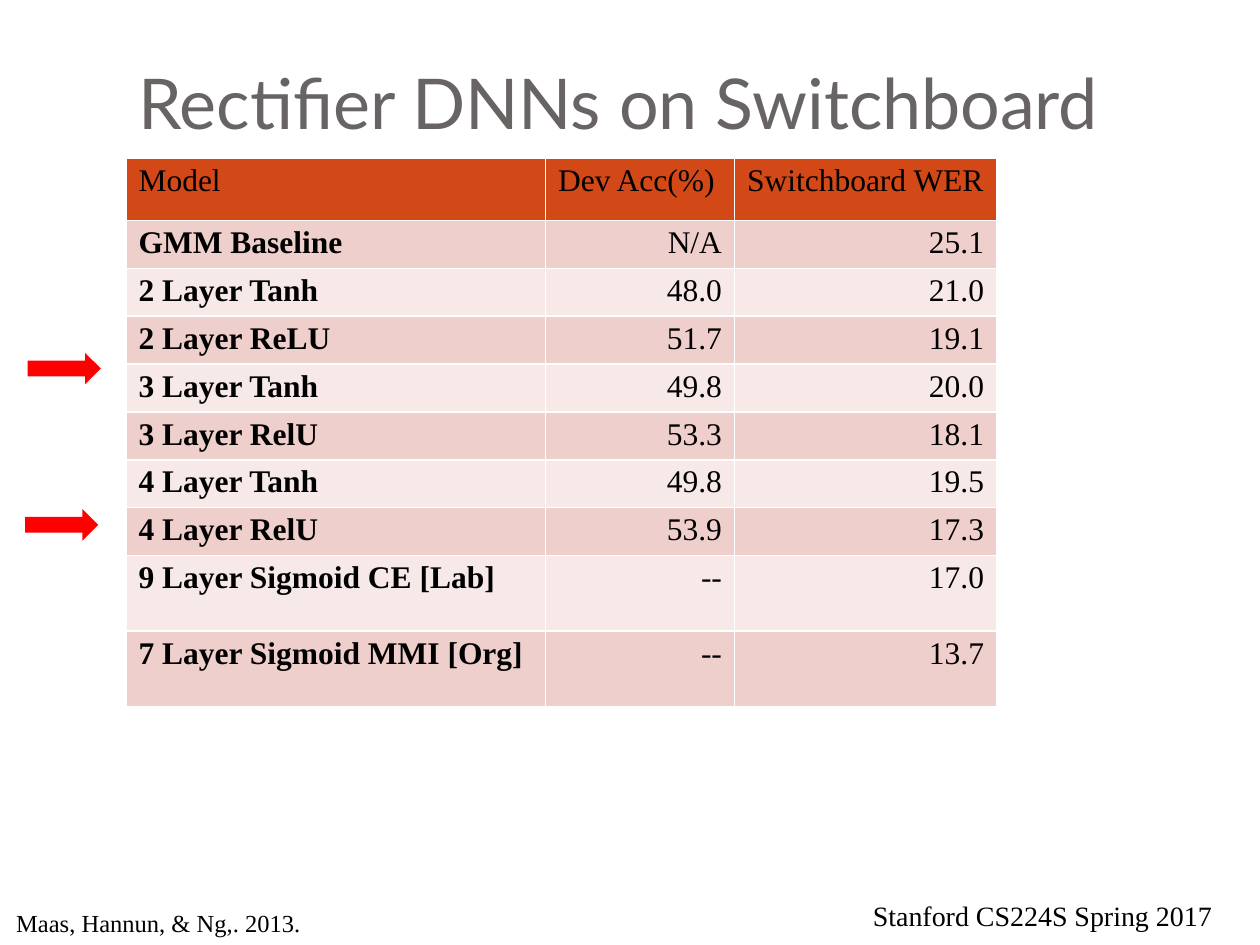
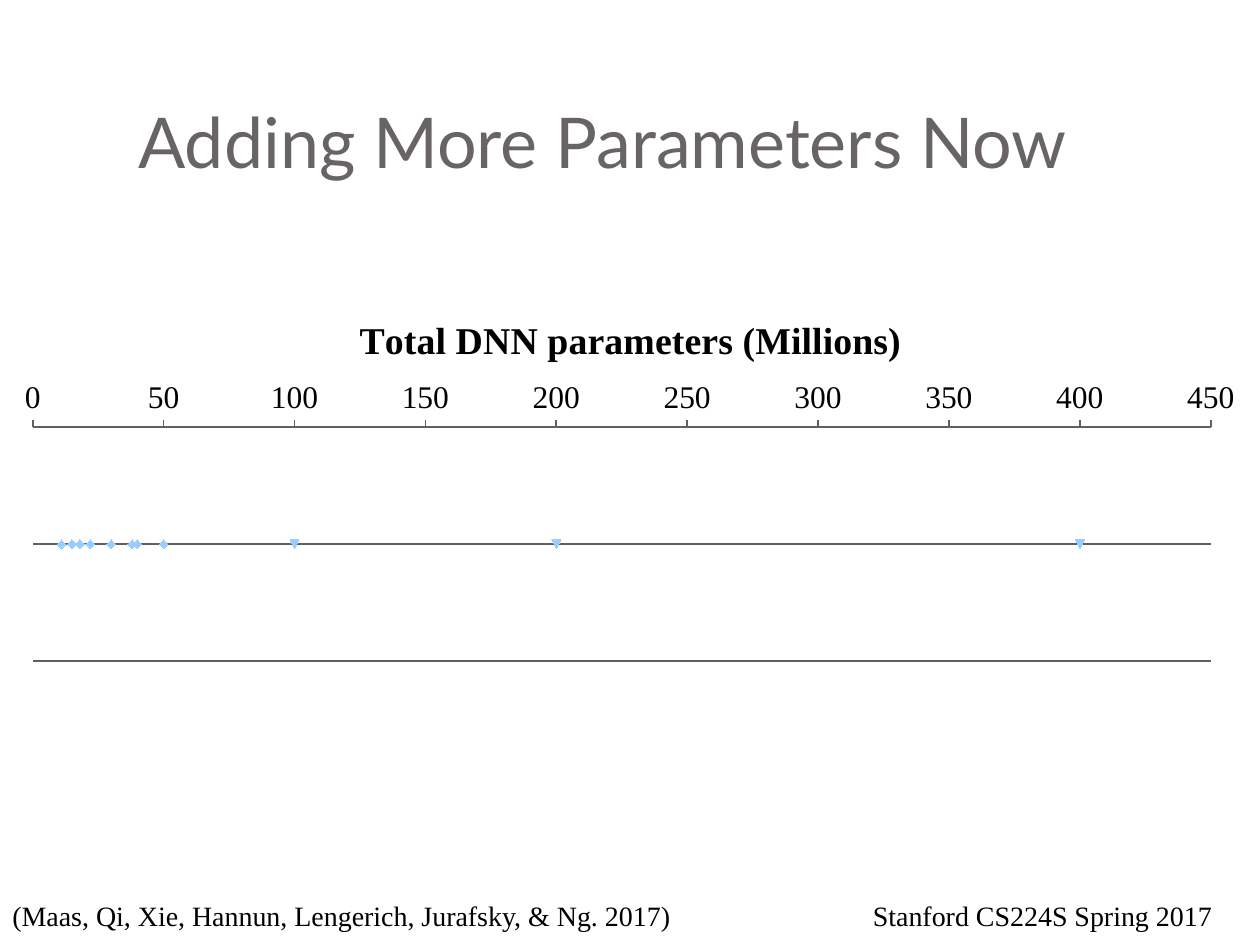
from lxml import etree
from pptx import Presentation
from pptx import util as u
from pptx.chart import data as cd
from pptx.dml.color import RGBColor
from pptx.enum import chart as ch, shapes, text
from pptx.oxml import parse_xml
from pptx.oxml.ns import nsdecls, qn

BLACK = RGBColor(0, 0, 0)
WHITE = RGBColor(255, 255, 255)
TITLE_GREY = RGBColor(0x69, 0x64, 0x64)
AXIS_GREY = RGBColor(0x60, 0x60, 0x60)
HEADER = RGBColor(0xD3, 0x48, 0x17)
BANDS = [RGBColor(0xF7, 0xE9, 0xE8), RGBColor(0xEF, 0xCF, 0xCC)]
ARROW_RED = RGBColor(255, 0, 0)
MARKER_BLUE = RGBColor(0x99, 0xCC, 0xFF)
SERIF = "Times New Roman"
FOOTER = "Stanford CS224S Spring 2017"


def add_text(s, words, box, size, name=SERIF, color=BLACK, anchor=text.MSO_ANCHOR.TOP):
    tf = s.shapes.add_textbox(*map(u.Inches, box)).text_frame
    tf.word_wrap = True
    tf.vertical_anchor = anchor
    r = tf.paragraphs[0].add_run()
    r.text = words
    for key, value in {"size": u.Pt(size), "name": name}.items():
        setattr(r.font, key, value)
    r.font.color.rgb = color
    return tf


def set_layout(parent, x, y, w=None, h=None):
    for old in parent.findall(qn("c:layout")):
        parent.remove(old)
    layout = parse_xml(f"<c:layout {nsdecls('c')}><c:manualLayout/></c:layout>")
    manual = layout[0]
    parts = {"xMode": "edge", "yMode": "edge", "x": x, "y": y, "w": w, "h": h}
    if w:
        parts = {"layoutTarget": "inner", **parts}
    for tag, value in parts.items():
        if value is not None:
            etree.SubElement(manual, qn(f"c:{tag}")).set("val", str(value))
    tx = parent.find(qn("c:tx"))
    if tx is None:
        parent.insert(0, layout)
    else:
        tx.addnext(layout)


prs = Presentation()
prs.slide_width, prs.slide_height = u.Inches(10), u.Inches(7.5)

slides = []
for title, title_height, source, source_box, source_size in [
    ("Rectifier DNNs on Switchboard", 0.94,
     "Maas, Hannun, & Ng,. 2013.", (0.03, 7.16, 5.31, 0.34), 14),
    ("Adding More Parameters Now", 1.25,
     "(Maas, Qi, Xie, Hannun, Lengerich, Jurafsky, & Ng. 2017)", (0, 7.08, 6.17, 0.37), 16),
]:
    s = prs.slides.add_slide(prs.slide_layouts[6])
    add_text(s, FOOTER, (6.83, 7.08, 3.17, 0.37), 16)
    tf = add_text(s, title, (1, 0.3, 8.5, title_height), 40, "Lato", TITLE_GREY,
                  text.MSO_ANCHOR.BOTTOM)
    tf.margin_bottom = u.Inches(0.1)
    add_text(s, source, source_box, source_size)
    slides.append(s)

results_slide, parameters_slide = slides

results = [
    ("Model", "Dev Acc(%)", "Switchboard WER"),
    ("GMM Baseline", "N/A", "25.1"),
    ("2 Layer Tanh", "48.0", "21.0"),
    ("2 Layer ReLU", "51.7", "19.1"),
    ("3 Layer Tanh", "49.8", "20.0"),
    ("3 Layer RelU", "53.3", "18.1"),
    ("4 Layer Tanh", "49.8", "19.5"),
    ("4 Layer RelU", "53.9", "17.3"),
    ("9 Layer Sigmoid CE [Lab]", "--", "17.0"),
    ("7 Layer Sigmoid MMI [Org]", "--", "13.7"),
]
row_heights = [0.49] + [0.38] * 7 + [0.6] * 2
col_widths = [3.33, 1.5, 2.08]
table = results_slide.shapes.add_table(
    len(results), len(col_widths), u.Inches(1), u.Inches(1.26),
    u.Inches(sum(col_widths)), u.Inches(sum(row_heights))).table
for col, width in zip(table.columns, col_widths):
    col.width = u.Inches(width)
for i, (row, height, values) in enumerate(zip(table.rows, row_heights, results)):
    row.height = u.Inches(height)
    for j, (cell, value) in enumerate(zip(row.cells, values)):
        cell.margin_top, cell.margin_bottom = u.Inches(0.04), u.Inches(0.02)
        tc_pr = cell._tc.get_or_add_tcPr()
        for side in ("lnL", "lnR", "lnT", "lnB"):
            tc_pr.append(parse_xml(
                f'<a:{side} {nsdecls("a")} w="12700"><a:solidFill>'
                f'<a:srgbClr val="{WHITE}"/></a:solidFill></a:{side}>'))
        cell.fill.solid()
        cell.fill.fore_color.rgb = BANDS[i % 2] if i else HEADER
        p = cell.text_frame.paragraphs[0]
        if i and j:
            p.alignment = text.PP_ALIGN.RIGHT
        r = p.add_run()
        r.text = value
        for key, val in {"size": u.Pt(18), "name": SERIF, "bold": i > 0 and j == 0}.items():
            setattr(r.font, key, val)
        r.font.color.rgb = BLACK

for left, top in [(0.2, 4.04), (0.22, 2.8)]:
    sp = results_slide.shapes.add_shape(
        shapes.MSO_SHAPE.RIGHT_ARROW, *map(u.Inches, (left, top, 0.58, 0.25)))
    sp.shadow.inherit = False
    sp.fill.solid()
    sp.fill.fore_color.rgb = ARROW_RED
    sp.line.fill.background()

millions = [11, 15, 18, 22, 30, 38, 40, 50, 100, 200, 400]
data = cd.XyChartData()
for name, shown in [("Series 1", range(0, 8)), ("Series 2", range(8, 11))]:
    series = data.add_series(name)
    for i, x in enumerate(millions):
        series.add_data_point(x, 100 if i in shown else None)
chart = parameters_slide.shapes.add_chart(
    ch.XL_CHART_TYPE.XY_SCATTER, *map(u.Inches, (0, 2.33, 10, 2.97)), data).chart
for pt in list(chart._chartSpace.iter(qn("c:pt"))):
    if pt.findtext(qn("c:v")) == "None":
        pt.getparent().remove(pt)
chart.has_legend = False
for key, value in {"size": u.Pt(18), "name": SERIF}.items():
    setattr(chart.font, key, value)
chart.font.color.rgb = BLACK

chart.has_title = True
r = chart.chart_title.text_frame.paragraphs[0].add_run()
r.text = "Total DNN parameters (Millions)"
for key, value in {"size": u.Pt(21.6), "name": SERIF, "bold": True}.items():
    setattr(r.font, key, value)
r.font.color.rgb = BLACK
set_layout(chart.chart_title._element, 0.28, 0.04)
set_layout(chart._chartSpace.chart.plotArea, 0.026, 0.357, 0.935, 0.626)

x_axis, y_axis = chart.category_axis, chart.value_axis
tick, label = ch.XL_TICK_MARK, ch.XL_TICK_LABEL_POSITION
for axis, formats in [
    (x_axis, {"minimum_scale": 0, "maximum_scale": 450, "major_unit": 50,
              "has_major_gridlines": False, "major_tick_mark": tick.OUTSIDE,
              "minor_tick_mark": tick.NONE}),
    (y_axis, {"minimum_scale": 80, "maximum_scale": 120, "major_unit": 20,
              "has_major_gridlines": True, "major_tick_mark": tick.NONE,
              "minor_tick_mark": tick.NONE, "tick_label_position": label.NONE,
              "crosses": ch.XL_AXIS_CROSSES.MAXIMUM}),
]:
    for key, value in formats.items():
        setattr(axis, key, value)
y_axis.format.line.fill.background()
for line in (x_axis.format.line, y_axis.major_gridlines.format.line):
    line.color.rgb = AXIS_GREY
    line.width = u.Pt(1)

chart.plots[0].vary_by_categories = False
for series in chart.plots[0].series:
    series.format.line.fill.background()
    series.marker.format.fill.solid()
    series.marker.format.fill.fore_color.rgb = MARKER_BLUE
    series.marker.format.line.fill.background()

prs.save("out.pptx")
